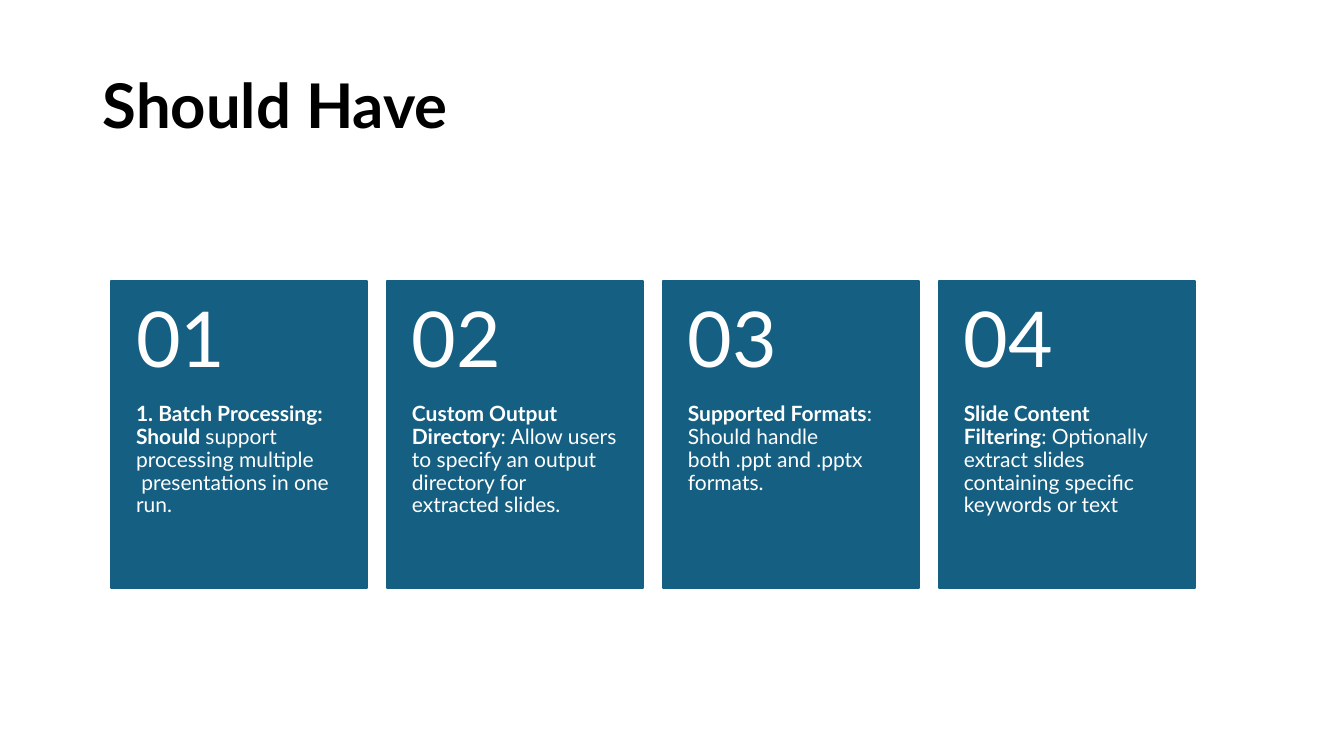
from lxml.etree import SubElement
from pptx import Presentation
from pptx.dml.color import RGBColor
from pptx.enum.shapes import MSO_SHAPE as Shape
from pptx.enum.text import MSO_ANCHOR as Anchor, PP_ALIGN as Align
from pptx.oxml.ns import qn
from pptx.util import Inches, Pt

BLACK = RGBColor(0x00, 0x00, 0x00)
WHITE = RGBColor(0xFF, 0xFF, 0xFF)
TEAL = RGBColor(0x15, 0x60, 0x82)

# Card grid, in inches
LEFT, RIGHT, TOP = 1.1, 11.85, 2.79
CARD_WIDTH, CARD_HEIGHT = 2.54, 3.04
NUMBER_SHARE = 0.4

# Bold lead and regular rest of each card
REQUIREMENTS = [
    ("1. Batch Processing: Should ",
     "support processing multiple\n presentations in one run."),
    ("Custom Output Directory",
     ": Allow users to specify an output \ndirectory for extracted slides."),
    ("Supported Formats",
     ": Should handle both .ppt and .pptx formats."),
    ("Slide Content Filtering",
     ": Optionally extract slides containing specific \nkeywords or text"),
]


class SlideBuilder:
    """Holds the style and the current slide."""

    font_name = "Lato"

    def __init__(self, slide, columns):
        self.slide = slide
        self.pitch = (RIGHT - LEFT - CARD_WIDTH) / (columns - 1)

    def cell(self, column, start=0, share=1):
        """Box of a card, or of a share of its height."""
        return (LEFT + column * self.pitch, TOP + start * CARD_HEIGHT,
                CARD_WIDTH, share * CARD_HEIGHT)

    def style(self, run, size, color, bold):
        font = run.font
        font.name, font.size, font.bold = self.font_name, Pt(size), bold
        font.color.rgb = color

    def text(self, box, lead, size, color=WHITE, bold=False, rest="",
             insets=(0.1, 0.05, 0.1, 0.05), anchor=Anchor.MIDDLE, spacing=0.9):
        frame = self.slide.shapes.add_textbox(*map(Inches, box)).text_frame
        frame.word_wrap = True
        frame.vertical_anchor = anchor
        (frame.margin_left, frame.margin_top,
         frame.margin_right, frame.margin_bottom) = map(Inches, insets)
        frame.text = lead
        paragraph = frame.paragraphs[0]
        paragraph.alignment = Align.LEFT
        paragraph.line_spacing = spacing
        self.style(paragraph.runs[0], size, color, bold)
        for index, line in enumerate(rest.split("\n") if rest else []):
            if index:
                paragraph.add_line_break()
            run = paragraph.add_run()
            run.text = line
            self.style(run, size, color, False)
        # Line breaks take the text size, so that line heights stay even
        for line_break in paragraph._p.findall(qn("a:br")):
            SubElement(line_break, qn("a:rPr"), sz=str(size * 100))

    def panel(self, box):
        panel = self.slide.shapes.add_shape(Shape.RECTANGLE, *map(Inches, box))
        panel.shadow.inherit = False
        panel.fill.solid()
        panel.fill.fore_color.rgb = TEAL
        panel.line.color.rgb = TEAL
        panel.line.width = Pt(1.5)

    def card(self, column, lead, rest):
        self.panel(self.cell(column))
        self.text(self.cell(column, NUMBER_SHARE, 1 - NUMBER_SHARE), lead, 15,
                  bold=True, rest=rest, insets=(0.25, 0, 0.25, 0.36),
                  anchor=Anchor.TOP)
        self.text(self.cell(column, 0, NUMBER_SHARE), f"{column + 1:02d}", 55,
                  insets=(0.25, 0.18, 0.25, 0.18))


def main():
    deck = Presentation()
    deck.slide_width, deck.slide_height = Inches(13.33), Inches(7.5)
    slide = deck.slides.add_slide(deck.slide_layouts[6])
    builder = SlideBuilder(slide, len(REQUIREMENTS))

    # Title
    builder.text((0.92, 0.4, 11.5, 1.45), "Should Have", 44, BLACK, bold=True,
                 spacing=0.7)

    # Numbered cards
    for column, (lead, rest) in enumerate(REQUIREMENTS):
        builder.card(column, lead, rest)

    deck.save("out.pptx")


if __name__ == "__main__":
    main()
